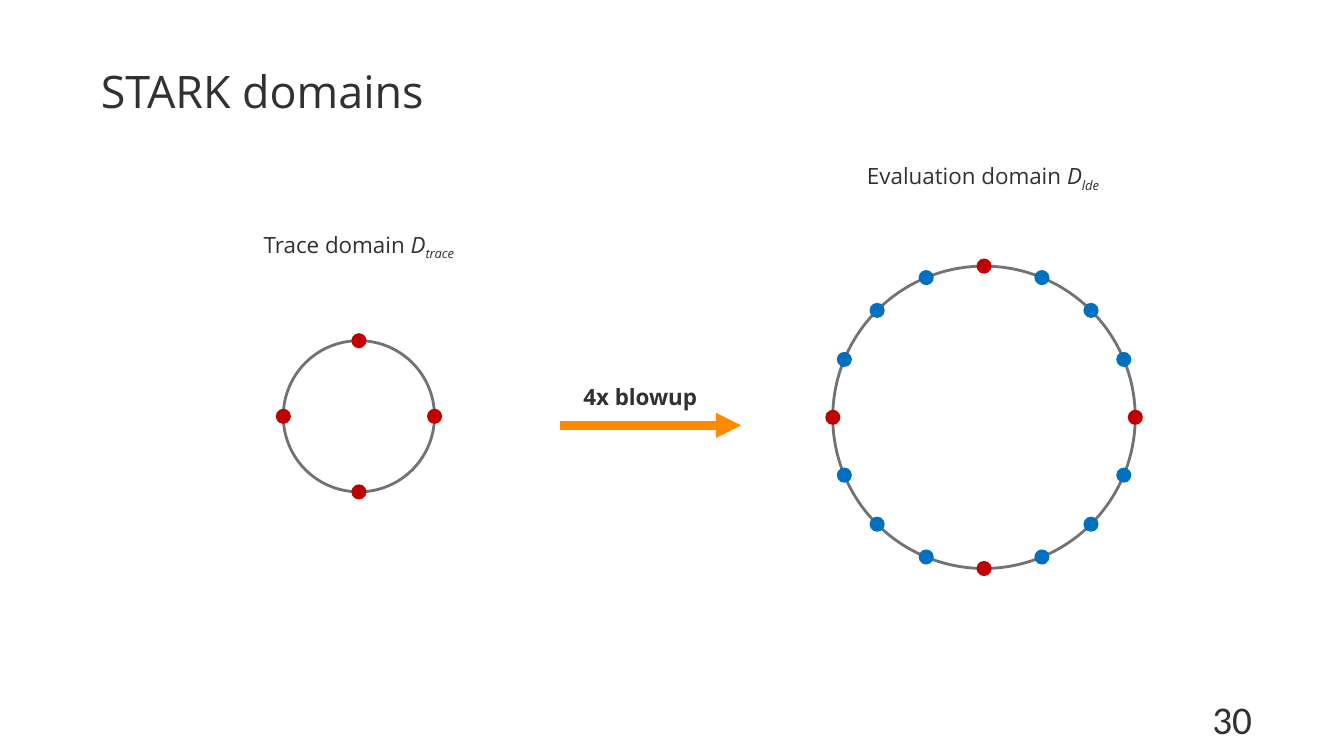
"""Build the STARK domains slide: a trace circle blown up into an evaluation circle."""
from dataclasses import dataclass
from math import cos, pi, sin

from pptx import Presentation
from pptx.dml.color import RGBColor as RGB
from pptx.enum.shapes import MSO_CONNECTOR as CONN, MSO_SHAPE as SHAPE
from pptx.enum.text import MSO_ANCHOR as ANCHOR, MSO_AUTO_SIZE as AUTO, PP_ALIGN as ALIGN
from pptx.oxml.ns import qn
from pptx.util import Inches, Pt
from lxml.etree import SubElement


@dataclass(frozen=True)
class Theme:
    ink: str = "313131"
    ring: str = "727272"
    trace: str = "C00000"
    extended: str = "0070C0"
    arrow: str = "FF8A00"
    font: str = "Open Sans"
    number_font: str = "Calibri"
    title_size: int = 32
    label_size: int = 16
    number_size: int = 28


def write(tf, runs, theme, size, font=None, bold=None, align=ALIGN.CENTER,
          anchor=ANCHOR.TOP, inset=0):
    tf.word_wrap = True
    tf.auto_size = AUTO.NONE
    tf.vertical_anchor = anchor
    tf.margin_left = tf.margin_right = Inches(inset)
    tf.margin_top = tf.margin_bottom = Inches(0.05)
    p = tf.paragraphs[0]
    p.alignment = align
    for text, italic, baseline in runs:
        r = p.add_run()
        r.text = text
        r.font.name = font or theme.font
        r.font.size = Pt(size)
        r.font.bold = bold
        r.font.italic = italic
        r.font.color.rgb = RGB.from_string(theme.ink)
        if baseline:
            r._r.get_or_add_rPr().set("baseline", str(baseline * 1000))


class SlideBuilder:
    def __init__(self, slide, theme):
        self.slide = slide
        self.theme = theme

    def title(self, text, x, y, w, h):
        sp = self.slide.shapes.title
        sp.left, sp.top, sp.width, sp.height = map(Inches, (x, y, w, h))
        write(sp.text_frame, [(text, None, 0)], self.theme, self.theme.title_size,
              align=ALIGN.LEFT, anchor=ANCHOR.MIDDLE)

    def text(self, shapes, runs, x, y, w, h, size, **fmt):
        sp = shapes.add_textbox(*map(Inches, (x, y, w, h)))
        write(sp.text_frame, runs, self.theme, size, **fmt)

    def circle(self, shapes, cx, cy, radius, fill=None, line=None):
        sp = shapes.add_shape(SHAPE.OVAL, Inches(cx - radius), Inches(cy - radius),
                              Inches(2 * radius), Inches(2 * radius))
        sp.shadow.inherit = False
        if fill:
            sp.fill.solid()
            sp.fill.fore_color.rgb = RGB.from_string(fill)
        else:
            sp.fill.background()
        if line:
            sp.line.color.rgb = RGB.from_string(line)
            sp.line.width = Pt(2)
        else:
            sp.line.fill.background()

    def domain(self, shapes, cx, cy, radius, points):
        self.circle(shapes, cx, cy, radius, line=self.theme.ring)
        for i in range(points):
            angle = 2 * pi * i / points
            in_trace = i % (points // 4) == 0
            self.circle(shapes, cx + radius * cos(angle), cy + radius * sin(angle), 0.075,
                        fill=self.theme.trace if in_trace else self.theme.extended)

    def arrow(self, shapes, x1, y1, x2, y2):
        c = shapes.add_connector(CONN.STRAIGHT, *map(Inches, (x1, y1, x2, y2)))
        c.line.color.rgb = RGB.from_string(self.theme.arrow)
        c.line.width = Pt(6)
        SubElement(c.line._get_or_add_ln(), qn("a:tailEnd"), type="triangle")
        SubElement(c._element.spPr, qn("a:effectLst"))


def main():
    prs = Presentation()
    prs.slide_width, prs.slide_height = Inches(13.33), Inches(7.5)
    theme = Theme()
    slide = prs.slides.add_slide(prs.slide_layouts[5])
    b = SlideBuilder(slide, theme)
    b.title("STARK domains", 1, 0.5, 11.33, 0.8)

    trace = slide.shapes.add_group_shape().shapes
    b.domain(trace, 3.56, 4.13, 0.75, 4)
    b.text(trace, [("Trace domain ", None, 0), ("D", True, 0), ("trace", True, -25)],
           2.49, 2.24, 2.14, 0.6, theme.label_size)

    evaluation = slide.shapes.add_group_shape().shapes
    b.domain(evaluation, 9.76, 4.14, 1.5, 16)
    b.arrow(evaluation, 5.55, 4.22, 7.35, 4.22)
    b.text(evaluation, [("4x blowup", None, 0)], 5.65, 3.73, 1.4, 0.4,
           theme.label_size, bold=True, anchor=ANCHOR.MIDDLE)
    b.text(evaluation, [("Evaluation domain ", None, 0), ("D", True, 0), ("lde", True, -25)],
           8.4, 1.56, 2.7, 0.4, theme.label_size)

    b.text(slide.shapes, [("30", None, 0)], 11.11, 6.85, 2.22, 0.4,
           theme.number_size, font=theme.number_font, inset=0.1)
    prs.save("out.pptx")


if __name__ == "__main__":
    main()
